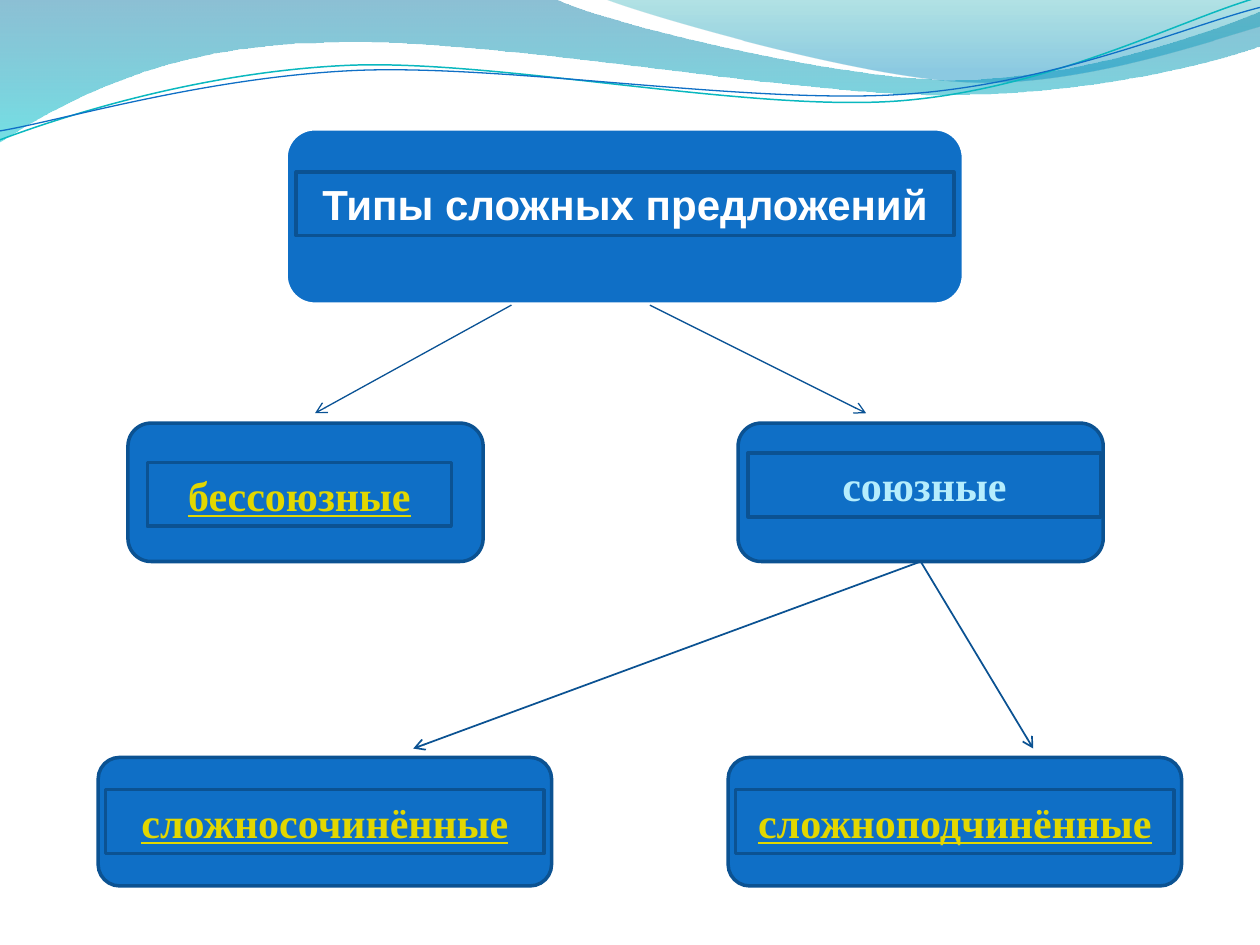
from lxml.etree import SubElement
from pptx import Presentation
from pptx.dml.color import RGBColor
from pptx.enum.shapes import MSO_CONNECTOR as Connector, MSO_SHAPE as Preset
from pptx.enum.text import MSO_ANCHOR as Anchor, MSO_AUTO_SIZE as AutoSize, PP_ALIGN as Align
from pptx.oxml.ns import qn
from pptx.util import Cm, Pt

BLUE, EDGE, WHITE, YELLOW, PALE = "0F6FC6", "0B5292", "FFFFFF", "E2D700", "B5EDFD"

WAVES = [
    ([(0, -0.03), (11.18, -0.03), (12.09, 0.43, 16.87, 1.6, 19.25, 1.6),
      (21.67, 1.6, 24.33, 0.66, 25.4, 0.23), (25.43, 0.91),
      (24.97, 1.12, 22.1, 1.93, 18.95, 1.91), (15.8, 1.91, 9.7, 0.71, 6.53, 0.86),
      (3.28, 0.89, 1.17, 2.11, -0.03, 2.87)],
     [(0, "0074A1", 45), (1, "00C6CF", 55)]),
    ([(12.17, -0.03), (12.93, 0.28, 17.32, 1.57, 19.53, 1.65),
      (21.74, 1.75, 24.41, 0.81, 25.4, 0.53), (25.4, 0)],
     [(0, "00A1A9", 30), (0.8, "008BBF", 45)]),
]
STRAND_ANGLE = -2.7
STRANDS = [
    ([(-0.05, 2.22), (1.19, 1.82, 4.02, 1.04, 7.05, 1.05),
      (10.05, 1.07, 15.02, 2.37, 18.08, 2.29), (21.13, 2.2, 23.86, 0.91, 25.41, 0.55)],
     "0AB8BF", 0.85),
    ([(-0.04, 2.04), (1.16, 1.9, 4.17, 1.15, 7.2, 1.16),
      (10.25, 1.18, 15.13, 2.23, 18.19, 2.16), (21.22, 2.1, 23.93, 1.06, 25.45, 0.75)],
     BLUE, 0.75),
]


def color(value):
    return RGBColor.from_string(value)


def set_line(line, value, width):
    line.color.rgb = color(value)
    line.width = Pt(width)


def add_curve(shapes, left, top, segments, closed):
    points = [(Cm(x), Cm(y)) for segment in segments
              for x, y in zip(segment[::2], segment[1::2])]
    builder = shapes.build_freeform(*points[0])
    builder.add_line_segments(points[1:], close=closed)
    shape = builder.convert_to_shape(Cm(left), Cm(top))
    shape.shadow.inherit = False
    steps = iter(list(shape._element.iter(qn("a:lnTo"))))
    for segment in segments[1:]:
        step = next(steps)
        if len(segment) == 6:
            step.tag = qn("a:cubicBezTo")
            for _ in range(2):
                follower = next(steps)
                step.append(follower[0])
                follower.getparent().remove(follower)
    return shape


def add_header(slide, left, top):
    for segments, stops in WAVES:
        shape = add_curve(slide.shapes, left, top, segments, True)
        shape.line.fill.background()
        shape.fill.gradient()
        shape.fill.gradient_angle = 270
        for stop, (position, value, _) in zip(shape.fill.gradient_stops, stops):
            stop.position = position
            stop.color.rgb = color(value)
        for element, (_, _, opacity) in zip(shape._element.iter(qn("a:srgbClr")), stops):
            SubElement(element, qn("a:alpha")).set("val", str(opacity * 1000))
    strands = slide.shapes.add_group_shape()
    for segments, value, width in STRANDS:
        shape = add_curve(strands.shapes, left, top, segments, False)
        shape.rotation = STRAND_ANGLE
        shape.fill.background()
        set_line(shape.line, value, width)


def add_box(shapes, preset, box, edge, width):
    shape = shapes.add_shape(preset, *map(Cm, box))
    shape.shadow.inherit = False
    shape.fill.solid()
    shape.fill.fore_color.rgb = color(BLUE)
    set_line(shape.line, edge, width)
    return shape


def add_node(slide, box, label_box, text, text_color=YELLOW, edge=EDGE, width=2, **font_format):
    left, top = box[:2]
    dx, dy, label_width, label_height = label_box
    group = slide.shapes.add_group_shape()
    card = add_box(group.shapes, Preset.FLOWCHART_ALTERNATE_PROCESS, box, edge, width)
    label = add_box(group.shapes, Preset.RECTANGLE,
                    (left + dx, top + dy, label_width, label_height), EDGE, 2)
    frame = label.text_frame
    frame_format = {"word_wrap": True, "auto_size": AutoSize.SHAPE_TO_FIT_TEXT,
                    "vertical_anchor": Anchor.MIDDLE}
    for name, value in frame_format.items():
        setattr(frame, name, value)
    paragraph = frame.paragraphs[0]
    paragraph.alignment = Align.CENTER
    run = paragraph.add_run()
    run.text = text
    run_format = {"name": "Times New Roman", "size": Pt(24), "bold": True,
                  "underline": text_color == YELLOW} | font_format
    for name, value in run_format.items():
        setattr(run.font, name, value)
    run.font.color.rgb = color(text_color)
    return card


def add_arrow(slide, start, end, value, width, source=None):
    connector = slide.shapes.add_connector(Connector.STRAIGHT, *map(Cm, start + end))
    if source is not None:
        connector.begin_connect(source, 2)
    set_line(connector.line, value, width)
    SubElement(connector.line._get_or_add_ln(), qn("a:tailEnd")).set("type", "arrow")
    SubElement(connector._element.spPr, qn("a:effectLst"))


def add_scheme(slide):
    add_node(slide, (5.75, 2.58, 13.69, 3.57), (0.22, 0.89, 13.26, 1.28),
             "Типы сложных предложений", WHITE, WHITE, 3, name="Arial")
    for start, end in (((10.31, 6.15), (6.35, 8.33)), ((13.1, 6.15), (17.46, 8.33))):
        add_arrow(slide, start, end, "095295", 0.75)
    add_node(slide, (2.58, 8.53, 7.16, 2.79), (0.39, 0.79, 6.13, 1.29), "бессоюзные")
    conjunctive = add_node(slide, (14.88, 8.53, 7.36, 2.79), (0.2, 0.6, 7.11, 1.29),
                           "союзные", PALE)
    for end in ((8.33, 15.09), (20.83, 15.09)):
        add_arrow(slide, (18.56, 11.32), end, EDGE, 1, conjunctive)
    for left, text in ((1.98, "сложносочинённые"), (14.68, "сложноподчинённые")):
        add_node(slide, (left, 15.27, 9.14, 2.59), (0.15, 0.65, 8.84, 1.29), text)


def main():
    presentation = Presentation()
    presentation.slide_width, presentation.slide_height = Cm(25.4), Cm(19.05)
    slide = presentation.slides.add_slide(presentation.slide_layouts[6])
    add_header(slide, 0, 0)
    add_scheme(slide)
    presentation.save("out.pptx")


if __name__ == "__main__":
    main()
